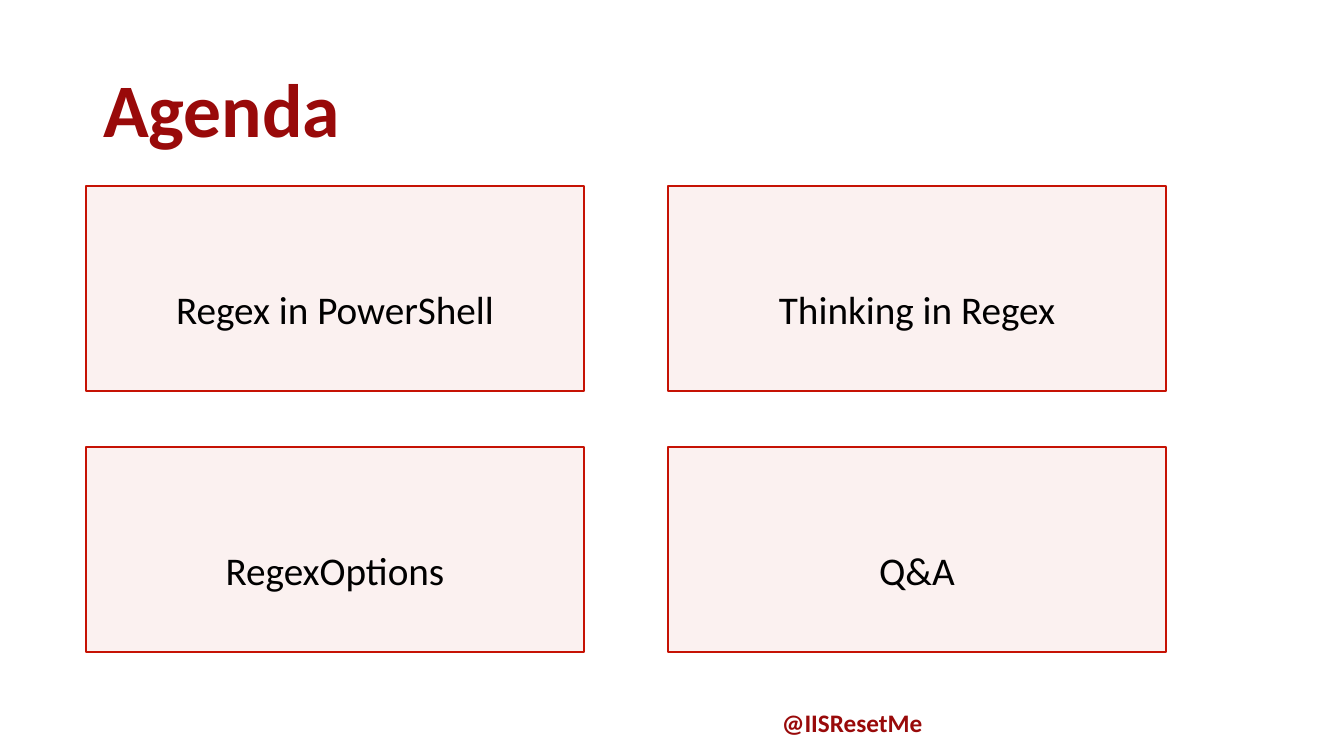
from lxml import etree
from pptx import Presentation
from pptx.dml.color import RGBColor
from pptx.enum.shapes import MSO_SHAPE
from pptx.enum.text import MSO_ANCHOR, PP_ALIGN
from pptx.oxml.ns import qn
from pptx.util import Pt

RECTANGLE = MSO_SHAPE.RECTANGLE
TOP, MIDDLE = MSO_ANCHOR.TOP, MSO_ANCHOR.MIDDLE
LEFT, CENTER = PP_ALIGN.LEFT, PP_ALIGN.CENTER

DARK_RED = RGBColor(0x99, 0x0A, 0x0A)
RED = RGBColor(0xC6, 0x12, 0x04)
BLACK = RGBColor(0x00, 0x00, 0x00)
FONT = "Calibri"

EMU_PER_PX = 914400 / 100.8
CARD_LEFT, CARD_TOP = 86, 186
CARD_WIDTH, CARD_HEIGHT = 498, 205
COLUMN_STEP, ROW_STEP = 582, 261
TOPICS = ["Regex in PowerShell", "Thinking in Regex", "RegexOptions", "Q&A"]


def px(*lengths):
    """Turn pixel lengths into EMU."""
    return [round(length * EMU_PER_PX) for length in lengths]


def write(shape, text, size, color, bold, align, anchor):
    """Put one formatted line into the shape and return its paragraph."""
    frame = shape.text_frame
    frame.word_wrap = True
    frame.vertical_anchor = anchor
    paragraph = frame.paragraphs[0]
    paragraph.alignment = align
    run = paragraph.add_run()
    run.text = text
    run.font.name = FONT
    run.font.size = Pt(size)
    run.font.bold = bold
    run.font.color.rgb = color
    return paragraph


presentation = Presentation()
presentation.slide_width, presentation.slide_height = px(1344, 756)
slide = presentation.slides.add_slide(presentation.slide_layouts[5])

handle = slide.shapes.add_textbox(*px(772, 702, 251, 40))
write(handle, "@IISResetMe", 18, DARK_RED, True, LEFT, TOP)

title = slide.shapes.title
title.left, title.top, title.width, title.height = px(93, 40, 1073, 146)
heading = write(title, "Agenda", 54, DARK_RED, True, LEFT, MIDDLE)
heading.line_spacing = 0.9

for index, topic in enumerate(TOPICS):
    row, column = divmod(index, 2)
    card = slide.shapes.add_shape(RECTANGLE, *px(
        CARD_LEFT + column * COLUMN_STEP, CARD_TOP + row * ROW_STEP,
        CARD_WIDTH, CARD_HEIGHT))
    card.shadow.inherit = False
    card.fill.solid()
    card.fill.fore_color.rgb = RED
    fill_color = card.fill._xPr.find(qn("a:solidFill")).find(qn("a:srgbClr"))
    etree.SubElement(fill_color, qn("a:alpha"), val="6000")
    card.line.color.rgb = RED
    card.line.width = Pt(1.5)
    label = write(card, topic, 28, BLACK, False, CENTER, TOP)
    label.line_spacing = 3.0
    label.space_after = Pt(6)

presentation.save("out.pptx")
